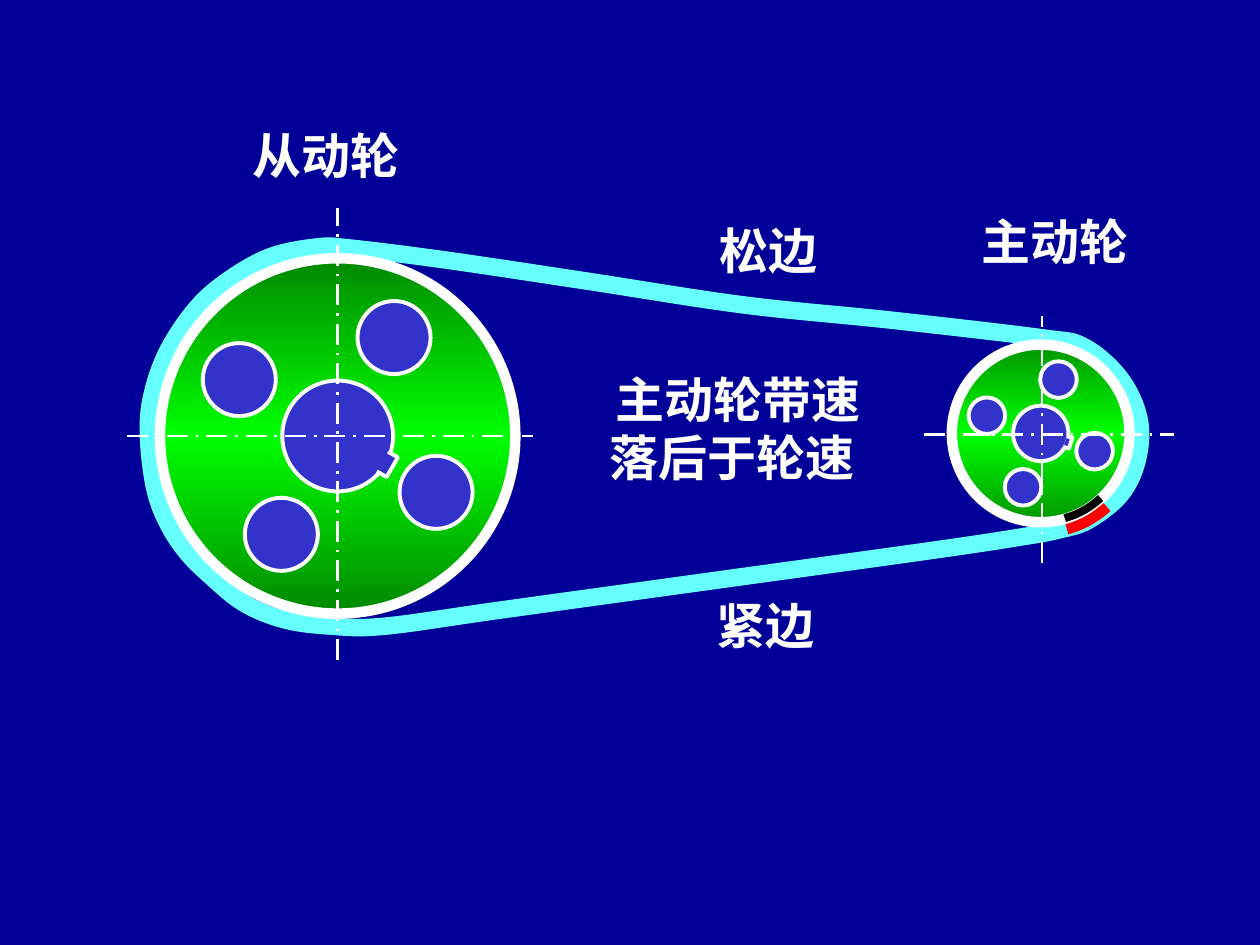
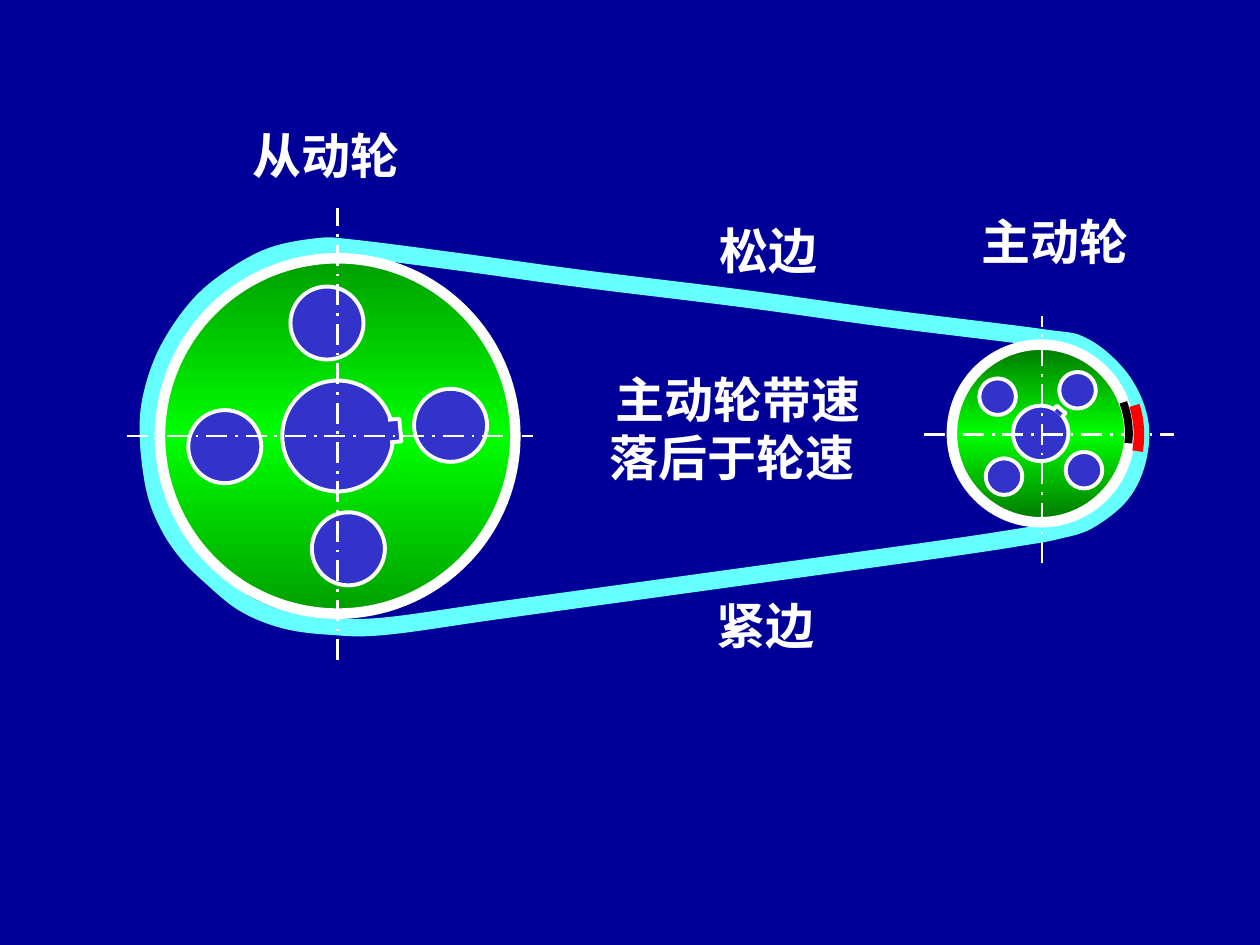
from dataclasses import dataclass
from math import cos, radians, sin
from typing import NamedTuple

from lxml import etree
from pptx import Presentation
from pptx.dml.color import RGBColor
from pptx.enum.dml import MSO_LINE
from pptx.enum.shapes import MSO_CONNECTOR, MSO_SHAPE
from pptx.enum.text import MSO_AUTO_SIZE, PP_ALIGN
from pptx.oxml import parse_xml
from pptx.oxml.ns import nsdecls, qn
from pptx.shapes.autoshape import Shape
from pptx.slide import Slide
from pptx.util import Inches, Pt

OVAL, ARC = MSO_SHAPE.OVAL, MSO_SHAPE.ARC
STRAIGHT = MSO_CONNECTOR.STRAIGHT
DASH_DOT = MSO_LINE.LONG_DASH_DOT
CENTER = PP_ALIGN.CENTER
FIT_SHAPE = MSO_AUTO_SIZE.SHAPE_TO_FIT_TEXT
BLANK_LAYOUT = 6


@dataclass(frozen=True)
class Theme:
    background: str = "000099"
    white: str = "FFFFFF"
    belt: str = "66FFFF"
    hole: str = "3333CC"
    rim_edge: str = "007500"
    rim_middle: str = "00FF00"
    wheel_mark: str = "000000"
    belt_mark: str = "FF0000"
    font: str = "Times New Roman"
    label_size: float = 28
    belt_width: float = 10
    rim_width: float = 6
    hole_width: float = 2.25
    axis_width: float = 1.5
    wheel_mark_width: float = 4.5
    belt_mark_width: float = 6


THEME = Theme()


class Point(NamedTuple):
    x: float
    y: float


class Wheel(NamedTuple):
    center: Point
    scale: float


class Axis(NamedTuple):
    start: Point
    end: Point


class Label(NamedTuple):
    text: str
    x: float
    y: float
    w: float
    h: float = 0.57


class Stage(NamedTuple):
    slack_side: list[Point]
    driven_angle: float
    driver_angle: float
    belt_mark_angle: float


DRIVEN = Wheel(Point(2.68, 3.46), 1)
DRIVER = Wheel(Point(8.26, 3.44), 0.5)

RIM_RADIUS, HUB_RADIUS, HOLE_RADIUS, HOLE_ORBIT = 1.41, 0.44, 0.29, 0.9
HOLE_COUNT, HOLE_OFFSET = 4, 40
KEY_INNER, KEY_OUTER, KEY_HALF = 0.41, 0.5, 0.09

MARK_SPAN = 27
WHEEL_MARK_RADIUS, WHEEL_MARK_OFFSET = 0.7, 69
BELT_MARK_RADIUS, BELT_MARK_CENTER = 0.78, Point(8.26, 3.45)

BELT_START = Point(8.26, 2.68)
BELT_REST = [Point(*xy) for xy in (
    (3.58, 2.07), (2.79, 1.97), (2.52, 1.96), (2.14, 2.04), (1.79, 2.24),
    (1.54, 2.47), (1.32, 2.81), (1.2, 3.17), (1.18, 3.49), (1.23, 3.88),
    (1.33, 4.15), (1.48, 4.38), (1.68, 4.58), (1.94, 4.79), (2.26, 4.92),
    (2.63, 4.97), (3.06, 4.97), (3.99, 4.84), (5.8, 4.59), (7.46, 4.36),
    (8.12, 4.26), (8.39, 4.21), (8.64, 4.13), (8.9, 3.92), (9.03, 3.64),
    (9.04, 3.32), (8.89, 3), (8.6, 2.75),
)]

AXES = [
    Axis(Point(1.01, 3.46), Point(4.23, 3.46)),
    Axis(Point(2.68, 5.24), Point(2.68, 1.65)),
    Axis(Point(7.33, 3.45), Point(9.32, 3.45)),
    Axis(Point(8.27, 4.47), Point(8.27, 2.51)),
]

LABELS = [
    Label("主动轮 ", 7.55, 1.63, 1.74),
    Label("从动轮 ", 1.76, 0.95, 1.74),
    Label("主动轮带速落后于轮速 ", 4.67, 2.88, 2.37, 1.04),
    Label("松边 ", 5.55, 1.7, 1.18),
    Label("紧边 ", 5.53, 4.68, 1.18),
]

STAGES = [
    Stage([Point(7.06, 2.54), Point(5.9, 2.42), Point(4.65, 2.23)],
          349.8, 338.2, 47.5),
    Stage([Point(7.06, 2.53), Point(5.9, 2.37), Point(4.6, 2.21)],
          314.6, 270.4, 342.7),
]


def rgb(color: str) -> RGBColor:
    return RGBColor.from_string(color)


def polar(center: Point, radius: float, angle: float) -> Point:
    a = radians(angle)
    return Point(center.x + radius * cos(a), center.y + radius * sin(a))


def style(sp: Shape, line: str, width: float, fill: str | None = None) -> None:
    sp.shadow.inherit = False
    if fill:
        sp.fill.solid()
        sp.fill.fore_color.rgb = rgb(fill)
    else:
        sp.fill.background()
    sp.line.color.rgb = rgb(line)
    sp.line.width = Pt(width)


def add_outline(s: Slide, points: list[Point]) -> Shape:
    emu = [(Inches(p.x), Inches(p.y)) for p in points]
    builder = s.shapes.build_freeform(*emu[0])
    builder.add_line_segments(emu[1:], close=False)
    return builder.convert_to_shape()


def add_curve(s: Slide, points: list[Point], closed: bool) -> Shape:
    if closed:
        padded = [points[-1], *points, points[0], points[1]]
    else:
        padded = [points[0], *points, points[-1]]
    vertices = [padded[1]]
    for before, a, b, after in zip(padded, padded[1:], padded[2:], padded[3:]):
        vertices += [
            Point(a.x + (b.x - before.x) / 6, a.y + (b.y - before.y) / 6),
            Point(b.x - (after.x - a.x) / 6, b.y - (after.y - a.y) / 6),
            b,
        ]
    sp = add_outline(s, vertices)
    outline = sp._element.xpath(".//a:path")[0]
    segments = outline.findall(qn("a:lnTo"))
    for i in range(0, len(segments), 3):
        bezier = etree.SubElement(outline, qn("a:cubicBezTo"))
        for segment in segments[i:i + 3]:
            bezier.append(segment[0])
            outline.remove(segment)
    if closed:
        etree.SubElement(outline, qn("a:close"))
    return sp


def add_circle(s: Slide, center: Point, radius: float, kind: MSO_SHAPE = OVAL) -> Shape:
    return s.shapes.add_shape(
        kind, Inches(center.x - radius), Inches(center.y - radius),
        Inches(2 * radius), Inches(2 * radius))


def fill_rim(sp: Shape) -> None:
    stops = "".join(
        f'<a:gs pos="{pos}"><a:srgbClr val="{color}"/></a:gs>'
        for pos, color in ((0, THEME.rim_edge), (50000, THEME.rim_middle),
                           (100000, THEME.rim_edge)))
    gradient = parse_xml(
        f'<a:gradFill {nsdecls("a")} rotWithShape="0"><a:gsLst>{stops}</a:gsLst>'
        '<a:lin ang="5400000" scaled="1"/></a:gradFill>')
    sp_pr = sp._element.spPr
    sp_pr.replace(sp_pr.find(qn("a:noFill")), gradient)


def add_wheel(s: Slide, wheel: Wheel, angle: float) -> None:
    center, k = wheel
    rim = add_circle(s, center, RIM_RADIUS * k)
    style(rim, THEME.white, THEME.rim_width)
    fill_rim(rim)
    rim.rotation = angle

    first = angle + HOLE_OFFSET
    parts = [
        add_circle(s, polar(center, HOLE_ORBIT * k, first + i * 360 / HOLE_COUNT),
                   HOLE_RADIUS * k)
        for i in range(HOLE_COUNT)
    ]
    parts.append(add_circle(s, center, HUB_RADIUS * k))

    corners = []
    for reach, side in ((KEY_INNER, -KEY_HALF), (KEY_OUTER, -KEY_HALF),
                        (KEY_OUTER, KEY_HALF), (KEY_INNER, KEY_HALF)):
        along = polar(center, reach * k, first)
        corners.append(polar(along, side * k, first + 90))
    parts.append(add_outline(s, corners))
    for part in parts:
        style(part, THEME.white, THEME.hole_width, THEME.hole)


def add_axis(s: Slide, axis: Axis) -> None:
    c = s.shapes.add_connector(
        STRAIGHT, *(Inches(v) for v in (*axis.start, *axis.end)))
    c.line.color.rgb = rgb(THEME.white)
    c.line.width = Pt(THEME.axis_width)
    c.line.dash_style = DASH_DOT
    etree.SubElement(c._element.spPr, qn("a:effectLst"))


def add_marks(s: Slide, stage: Stage) -> None:
    start = stage.driver_angle + WHEEL_MARK_OFFSET
    wheel_mark = add_curve(
        s, [polar(DRIVER.center, WHEEL_MARK_RADIUS, start + MARK_SPAN * i / 4)
            for i in range(5)], closed=False)
    style(wheel_mark, THEME.wheel_mark, THEME.wheel_mark_width)

    belt_mark = add_circle(s, BELT_MARK_CENTER, BELT_MARK_RADIUS, ARC)
    for i, angle in enumerate((0, MARK_SPAN)):
        belt_mark.adjustments[i] = (stage.belt_mark_angle + angle) % 360 * 0.6
    style(belt_mark, THEME.belt_mark, THEME.belt_mark_width)


def add_label(s: Slide, label: Label) -> None:
    box = s.shapes.add_textbox(
        *(Inches(v) for v in (label.x, label.y, label.w, label.h)))
    tf = box.text_frame
    tf.word_wrap = True
    tf.auto_size = FIT_SHAPE
    p = tf.paragraphs[0]
    p.alignment = CENTER
    r = p.add_run()
    r.text = label.text
    r.font.name = THEME.font
    r.font.size = Pt(THEME.label_size)
    r.font.bold = True
    r.font.color.rgb = rgb(THEME.white)


def add_stage(prs: Presentation, stage: Stage) -> None:
    s = prs.slides.add_slide(prs.slide_layouts[BLANK_LAYOUT])
    belt = add_curve(s, [BELT_START, *stage.slack_side, *BELT_REST], closed=True)
    style(belt, THEME.belt, THEME.belt_width)
    add_wheel(s, DRIVER, stage.driver_angle)
    add_wheel(s, DRIVEN, stage.driven_angle)
    for axis in AXES:
        add_axis(s, axis)
    add_marks(s, stage)
    for label in LABELS:
        add_label(s, label)


def main() -> None:
    prs = Presentation()
    prs.slide_width, prs.slide_height = Inches(10), Inches(7.5)
    fill = prs.slide_master.background.fill
    fill.solid()
    fill.fore_color.rgb = rgb(THEME.background)
    for stage in STAGES:
        add_stage(prs, stage)
    prs.save("out.pptx")


if __name__ == "__main__":
    main()
